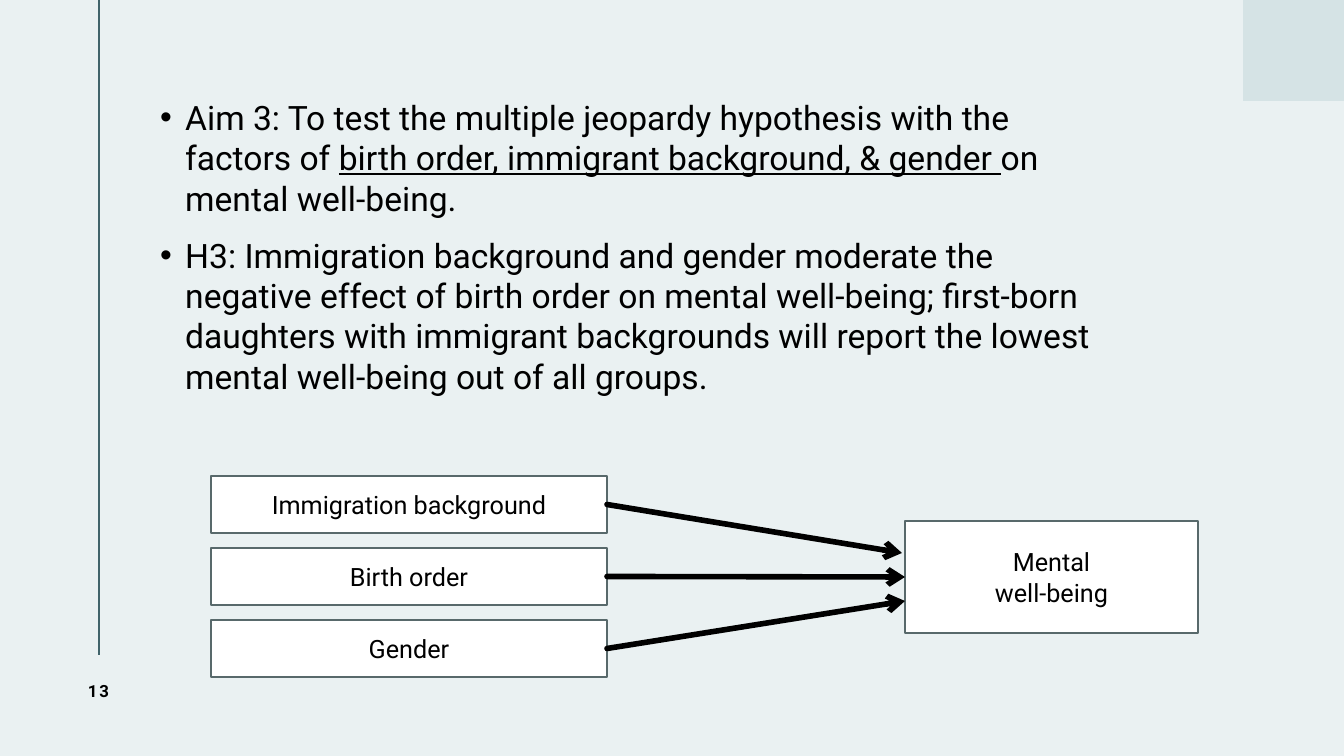
from lxml.etree import SubElement
from pptx import Presentation
from pptx.dml.color import RGBColor
from pptx.enum.shapes import MSO_CONNECTOR, MSO_SHAPE
from pptx.enum.text import MSO_ANCHOR, PP_ALIGN
from pptx.oxml.ns import qn
from pptx.util import Pt

PX = 914400 / 100.8  # EMU per px
BACKGROUND = RGBColor(0xEA, 0xF1, 0xF2)
CORNER = RGBColor(0xD5, 0xE3, 0xE5)
RULE = RGBColor(0x40, 0x63, 0x6A)
BORDER = RGBColor(0x58, 0x69, 0x6B)
WHITE = RGBColor(0xFF, 0xFF, 0xFF)
BLACK = RGBColor(0, 0, 0)


def add_box(left, top, width, height, fill, text=""):
    s = slide.shapes.add_shape(MSO_SHAPE.RECTANGLE, *[round(v * PX) for v in (left, top, width, height)])
    s.shadow.inherit = False
    s.fill.solid()
    s.fill.fore_color.rgb = fill
    if not text:
        s.line.fill.background()
        return s
    s.line.color.rgb = BORDER
    s.line.width = Pt(1)
    tf = s.text_frame
    tf.text = text
    tf.vertical_anchor = MSO_ANCHOR.MIDDLE
    for p in tf.paragraphs:
        p.alignment = PP_ALIGN.CENTER
        for r in p.runs:
            r.font.name, r.font.size = "Roboto", Pt(18)
            r.font.color.rgb = BLACK
    return s


def add_line(x1, y1, x2, y2, color, width):
    s = slide.shapes.add_connector(MSO_CONNECTOR.STRAIGHT, *[round(v * PX) for v in (x1, y1, x2, y2)])
    s.line.color.rgb = color
    s.line.width = Pt(width)
    SubElement(s._element.spPr, qn("a:effectLst"))
    return s


prs = Presentation()
prs.slide_width, prs.slide_height = round(1344 * PX), round(756 * PX)
slide = prs.slides.add_slide(prs.slide_layouts[6])
slide.background.fill.solid()
slide.background.fill.fore_color.rgb = BACKGROUND

# Side rule and corner square
add_line(99, 0, 99, 655, RULE, 1.5)
add_box(1243, 0, 101, 101, CORNER)

# Aim and hypothesis: each run is (text, underlined)
statements = [
    [("Aim 3: To test the multiple jeopardy hypothesis with the factors of ", False),
     ("birth order, immigrant background, & gender ", True),
     ("on mental well-being.", False)],
    [("H3: Immigration background and gender moderate the negative effect of birth order "
      "on mental well-being; first-born daughters with immigrant backgrounds will report "
      "the lowest mental well-being out of all groups.", False)],
]
s = slide.shapes.add_textbox(*[round(v * PX) for v in (160, 97, 942, 328)])
tf = s.text_frame
tf.word_wrap = True
tf.margin_left = tf.margin_right = tf.margin_top = tf.margin_bottom = 0
for i, statement in enumerate(statements):
    p = tf.add_paragraph() if i else tf.paragraphs[0]
    p.space_after = Pt(12)
    pPr = p._p.get_or_add_pPr()
    pPr.set("marL", "228600")
    pPr.set("indent", "-228600")
    SubElement(pPr, qn("a:buFont"), typeface="Arial")
    SubElement(pPr, qn("a:buChar"), char="•")
    for text, underlined in statement:
        r = p.add_run()
        r.text = text
        r.font.name, r.font.size = "Roboto", Pt(24)
        r.font.color.rgb = BLACK
        r.font.underline = underlined

# Slide number
s = slide.shapes.add_textbox(*[round(v * PX) for v in (45, 655, 107, 72)])
tf = s.text_frame
tf.word_wrap = True
tf.vertical_anchor = MSO_ANCHOR.MIDDLE
p = tf.paragraphs[0]
p.text = "13"
p.alignment = PP_ALIGN.CENTER
r = p.runs[0]
r.font.name, r.font.size, r.font.bold = "Roboto", Pt(12), True
r.font.color.rgb = BLACK
r.font._element.set("spc", "150")

# Factors with arrows to the outcome
outcome = add_box(905, 521, 293, 112, WHITE, "Mental\nwell-being")
factors = [("Immigration background", 902, 553), ("Birth order", 905, 577), ("Gender", 905, 601)]
for i, (name, tip_x, tip_y) in enumerate(factors):
    top = 476 + 72 * i
    factor = add_box(211, top, 396, 57, WHITE, name)
    arrow = add_line(607, top + 28, tip_x, tip_y, BLACK, 4)
    arrow.begin_connect(factor, 3)
    if name == "Birth order":
        arrow.end_connect(outcome, 1)
    ln = arrow.line._get_or_add_ln()
    ln.set("cap", "rnd")
    SubElement(ln, qn("a:round"))
    SubElement(ln, qn("a:tailEnd"), type="arrow")

prs.save("out.pptx")
